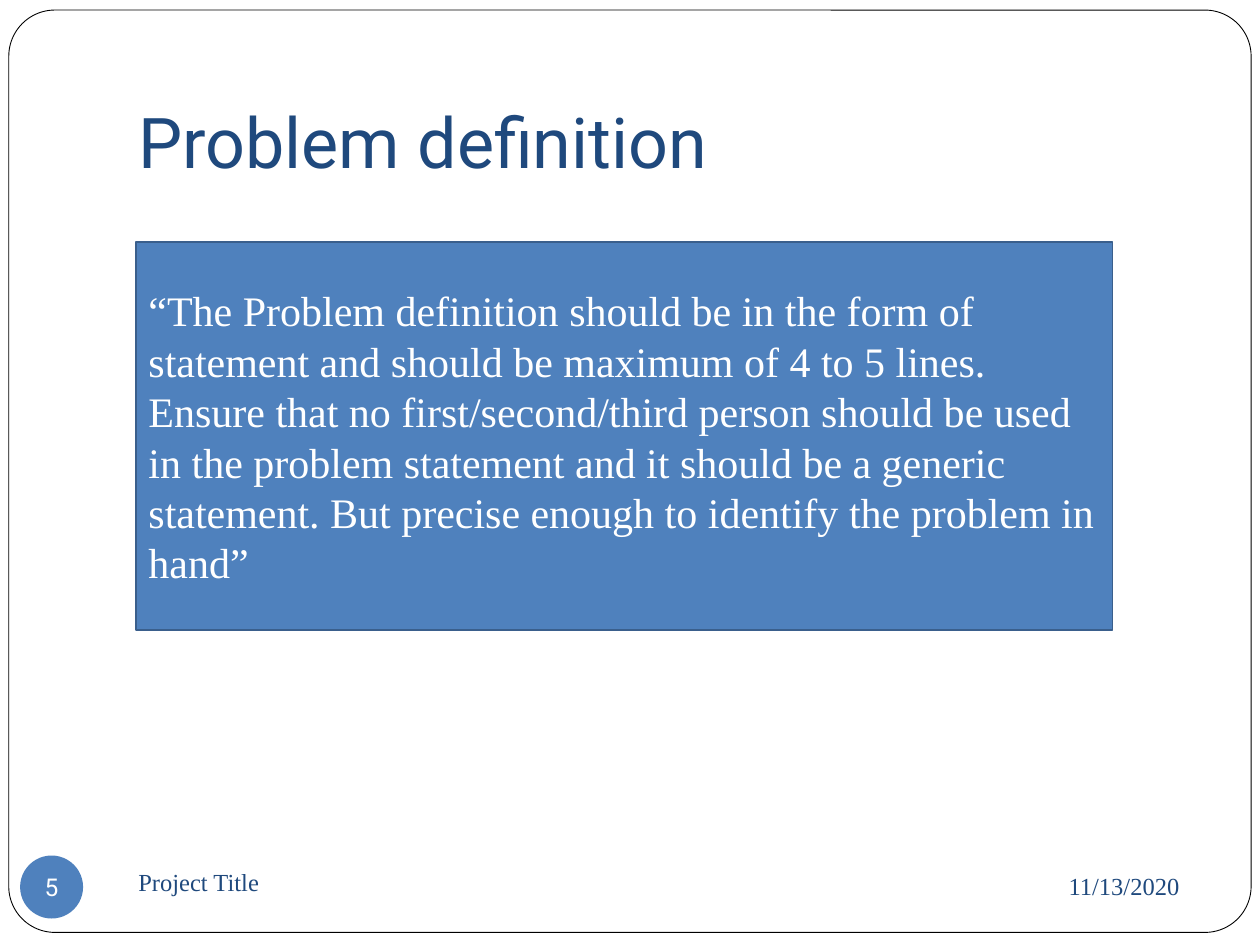
"""Build the problem definition slide."""
from pptx import Presentation
from pptx.dml.color import RGBColor
from pptx.enum.shapes import MSO_SHAPE
from pptx.enum.text import MSO_ANCHOR, MSO_AUTO_SIZE, PP_ALIGN
from pptx.util import Inches, Pt

ROUNDED, RECTANGLE, OVAL = MSO_SHAPE.ROUNDED_RECTANGLE, MSO_SHAPE.RECTANGLE, MSO_SHAPE.OVAL
MIDDLE, BOTTOM = MSO_ANCHOR.MIDDLE, MSO_ANCHOR.BOTTOM
LEFT, CENTER, RIGHT = PP_ALIGN.LEFT, PP_ALIGN.CENTER, PP_ALIGN.RIGHT
NO_AUTOFIT = MSO_AUTO_SIZE.NONE

WHITE = RGBColor(0xFF, 0xFF, 0xFF)
BLACK = RGBColor(0x00, 0x00, 0x00)
NAVY = RGBColor(0x1F, 0x49, 0x7D)
BLUE = RGBColor(0x4F, 0x81, 0xBD)
DARK_BLUE = RGBColor(0x3A, 0x5F, 0x8C)
SANS, SERIF = "Roboto", "Times New Roman"

STATEMENT = (
    "“The Problem definition should be in the form of statement and should be "
    "maximum of 4 to 5 lines. Ensure that no first/second/third person should be "
    "used in the problem statement and it should be a generic statement. But "
    "precise enough to identify the problem in hand”"
)


def write_text(shape, text, size, font_name, color, alignment=LEFT, anchor=MIDDLE):
    """Put one formatted paragraph into a shape."""
    frame = shape.text_frame
    frame.text = text
    frame.word_wrap = True
    frame.auto_size = NO_AUTOFIT
    frame.vertical_anchor = anchor
    paragraph = frame.paragraphs[0]
    paragraph.alignment = alignment
    paragraph.font.size = Pt(size)
    paragraph.font.name = font_name
    paragraph.font.color.rgb = color


def add_panel(slide, preset, box, fill, line=None, line_width=1):
    """Add a flat preset shape with an optional outline."""
    shape = slide.shapes.add_shape(preset, *map(Inches, box))
    shape.shadow.inherit = False
    shape.fill.solid()
    shape.fill.fore_color.rgb = fill
    if line is None:
        shape.line.fill.background()
    else:
        shape.line.color.rgb = line
        shape.line.width = Pt(line_width)
    return shape


def add_frame(slide):
    """Add the rounded page frame behind everything else."""
    frame = add_panel(slide, ROUNDED, (0.07, 0.08, 9.86, 7.32), WHITE, BLACK, 0.5)
    frame.adjustments[0] = 0.05
    slide.shapes._spTree.insert(2, frame._element)


def set_title(slide, text):
    """Place and format the title placeholder."""
    title = slide.shapes.title
    title.left, title.top, title.width, title.height = map(Inches, (1, 0.3, 8.5, 1.25))
    write_text(title, text, 40, SANS, NAVY, anchor=BOTTOM)
    title.text_frame.margin_bottom = Inches(0.1)


def add_footer(slide, text, box, alignment):
    """Add one footer text box."""
    footer = slide.shapes.add_textbox(*map(Inches, box))
    write_text(footer, text, 14, SERIF, NAVY, alignment)


def add_page_number(slide, number):
    """Add the page number in its circle."""
    badge = add_panel(slide, OVAL, (0.16, 6.79, 0.5, 0.5), BLUE)
    write_text(badge, number, 14, SANS, WHITE, CENTER)
    frame = badge.text_frame
    frame.word_wrap = False
    frame.margin_left = frame.margin_right = frame.margin_top = frame.margin_bottom = 0


def main():
    """Build and save the slide."""
    presentation = Presentation()
    presentation.slide_width, presentation.slide_height = Inches(10), Inches(7.5)
    slide = presentation.slides.add_slide(presentation.slide_layouts[5])
    add_frame(slide)
    set_title(slide, "Problem definition")
    add_footer(slide, "11/13/2020", (6.75, 6.77, 2.71, 0.52), RIGHT)
    add_footer(slide, "Project Title", (1, 6.75, 4.33, 0.5), LEFT)
    add_page_number(slide, "5")
    statement = add_panel(slide, RECTANGLE, (1.08, 1.92, 7.75, 3.08), BLUE, DARK_BLUE)
    write_text(statement, STATEMENT, 24, SERIF, WHITE)
    presentation.save("out.pptx")


if __name__ == "__main__":
    main()
